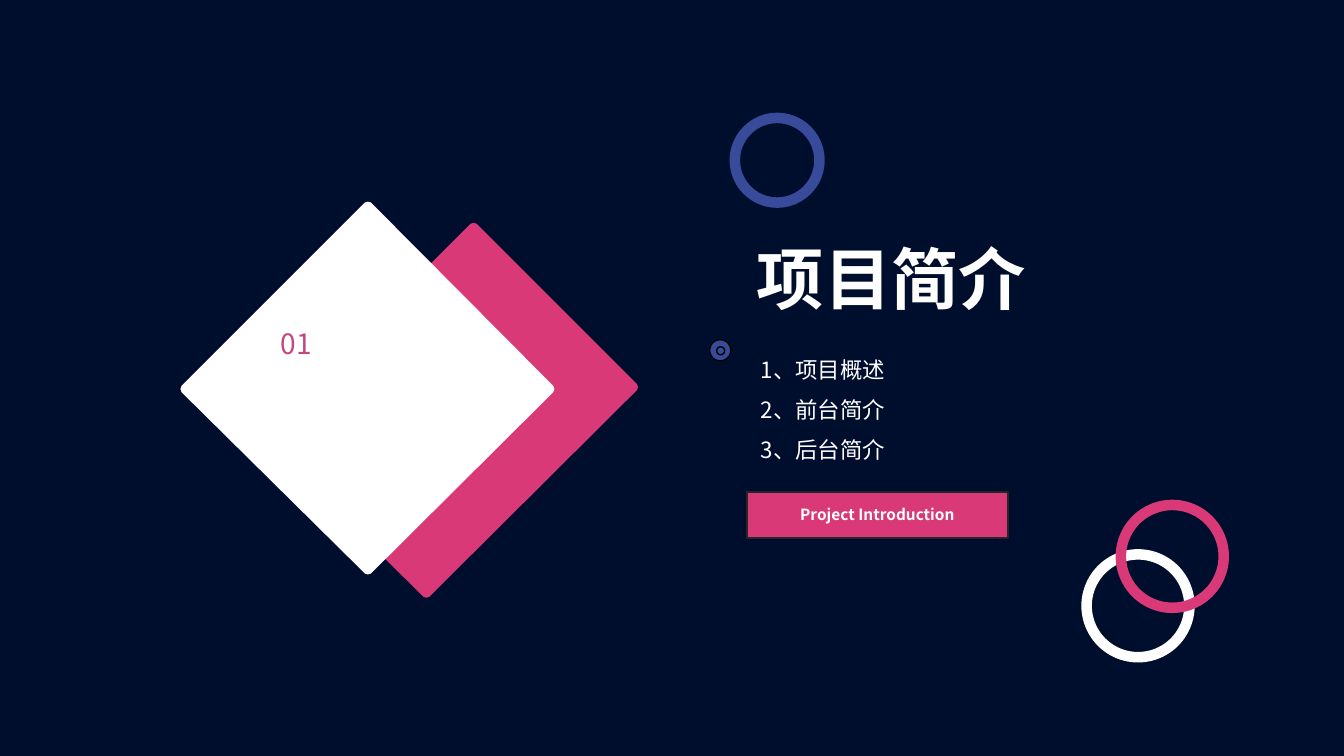
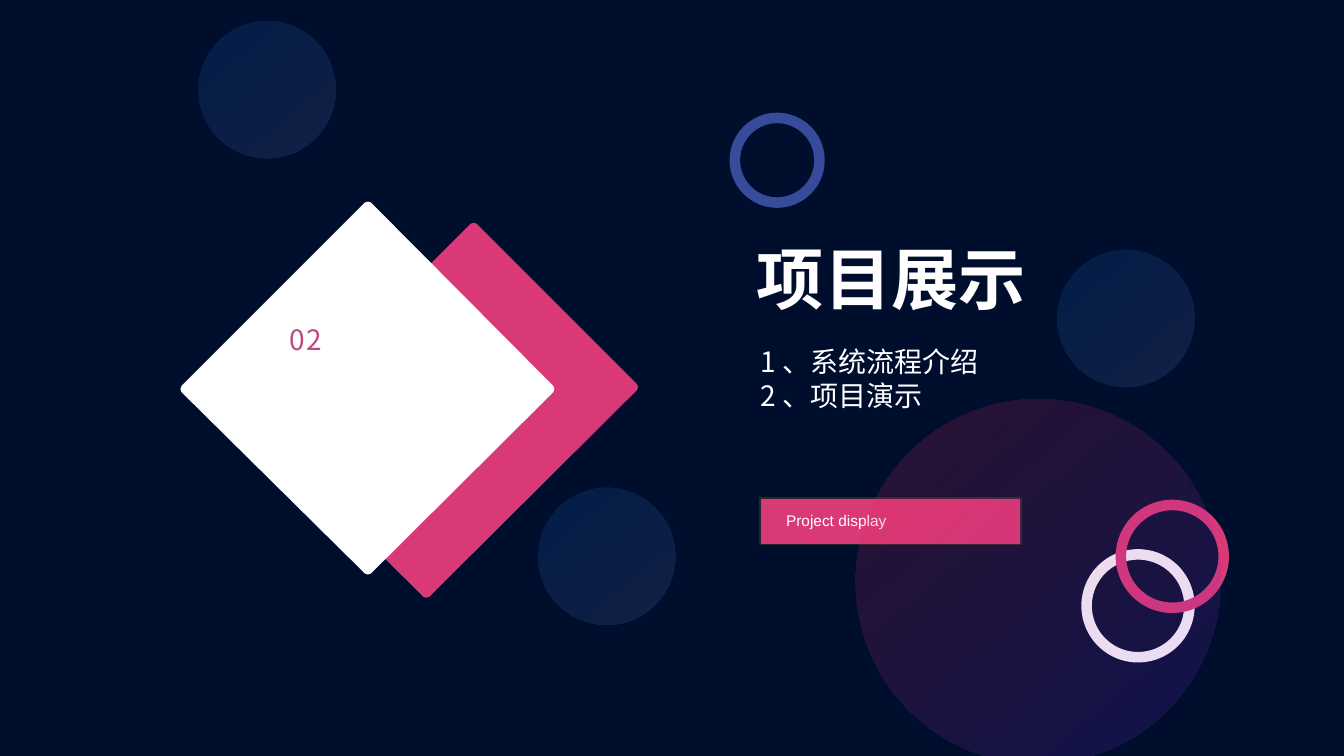
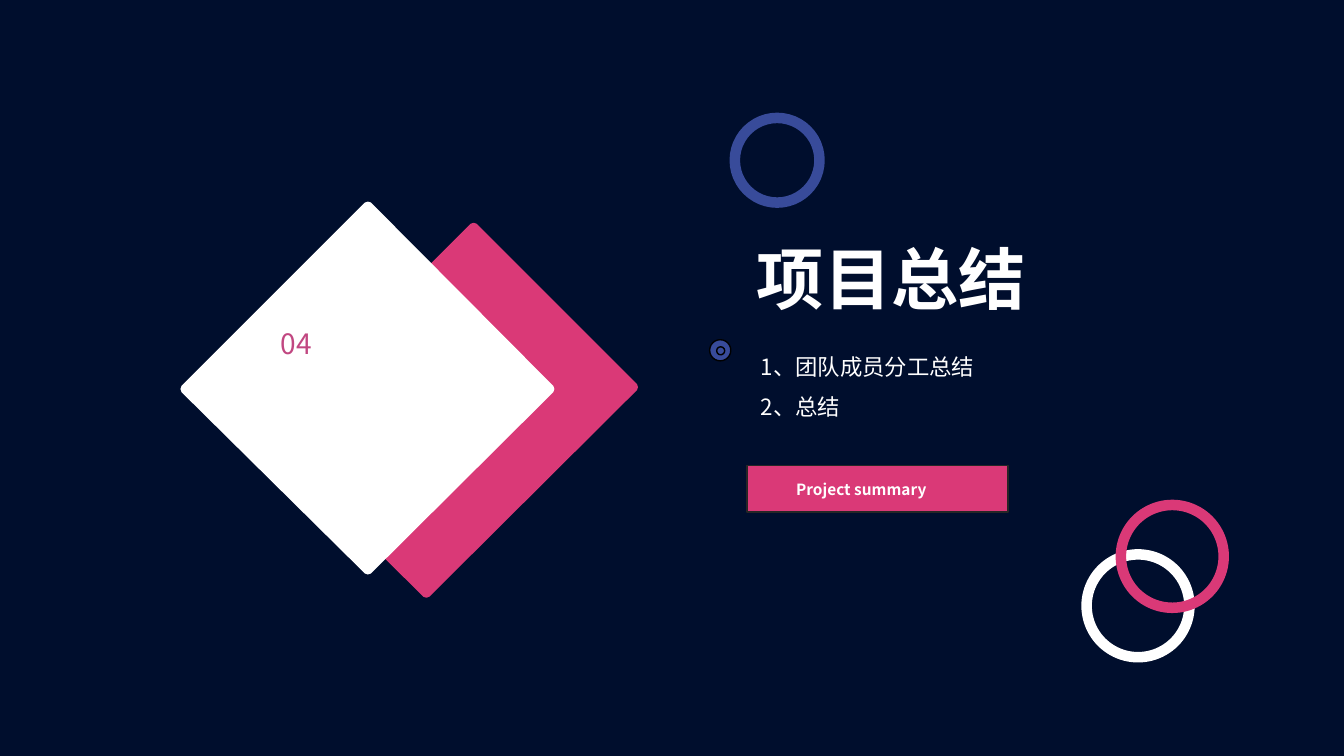
from lxml import etree
from pptx import Presentation, util as u
from pptx.dml.color import RGBColor
from pptx.enum import shapes, text
from pptx.oxml.ns import qn

COLS, ROWS = 40, 22.5
CELL = u.Inches(1) / 3
NAVY, PINK, WHITE, BLUE, BLACK, EDGE = "000E2D", "DA3977", "FFFFFF", "384B9A", "000000", "262626"
SANS, ARIAL = "Noto Sans CJK SC", "Arial"
OVAL, RECT = shapes.MSO_SHAPE.OVAL, shapes.MSO_SHAPE.RECTANGLE
LEFT, CENTER = text.PP_ALIGN.LEFT, text.PP_ALIGN.CENTER
RAINBOW = [(0, "557CB3"), (26, "C14781"), (53, PINK), (75, "C14781"), (100, BLUE)]


def paint(fill, color, element=None, angle=0, alpha=100):
    if isinstance(color, str):
        fill.solid()
        fill.fore_color.rgb = RGBColor.from_string(color)
        return
    fill.gradient()
    fill.gradient_angle = -angle % 360
    stops = next(element.iter(qn("a:gsLst")))
    stops.clear()
    for pos, value in color:
        gs = etree.SubElement(stops, qn("a:gs"), pos=str(pos * 1000))
        clr = etree.SubElement(gs, qn("a:srgbClr"), val=value)
        if alpha < 100:
            etree.SubElement(clr, qn("a:alpha"), val=str(alpha * 1000))


def write(sp, words, size, box, font=SANS, color=WHITE, bold=False, align=LEFT,
          leading=1.0, wrap=False, spacing=0):
    sp.left, sp.top, sp.width, sp.height = [round(v * CELL) for v in box]
    tf = sp.text_frame
    tf.word_wrap = wrap
    tf.auto_size = text.MSO_AUTO_SIZE.SHAPE_TO_FIT_TEXT
    tf.vertical_anchor = text.MSO_ANCHOR.TOP
    tf.text = words
    for p in tf.paragraphs:
        p.alignment, p.line_spacing = align, leading
        for r in p.runs:
            r.font.size, r.font.bold, r.font.name = u.Pt(size), bold, font
            paint(r.font.fill, color, sp.element)
    for rpr in sp.element.iter(qn("a:rPr")):
        etree.SubElement(rpr, qn("a:ea"), typeface=font)
        if spacing:
            rpr.set("spc", str(spacing * 100))


chapters = [
    dict(number="01", number_at=(8.04, 9.57), title="项目简介",
         body="1、项目概述\n2、前台简介\n3、后台简介", body_box=(22.35, 10.05, 11.7, 3.81),
         body_style=dict(size=16, leading=1.5), bar_at=(22.23, 14.64),
         label="Project Introduction", label_box=(23.46, 14.88, 5.31, 0.87),
         label_style=dict(bold=True, align=CENTER), dot=True, bubbles=[]),
    dict(number="02", number_at=(8.31, 9.45), title="项目展示",
         body="1 、系统流程介绍\n2 、项目演示", body_box=(22.35, 10.11, 15.72, 2.31),
         body_style=dict(size=20), bar_at=(22.62, 14.82),
         label="Project display", label_box=(23.1, 15.06, 6.81, 0.87),
         label_style=dict(font=ARIAL, wrap=True), dot=False,
         bubbles=[(31.47, 7.44, 4.08, "0A6CD1", "7474BA"), (5.91, 0.63, 4.08, "0A6CD1", "7474BA"),
                  (16.02, 14.52, 4.08, "0A6CD1", "7474BA"), (25.47, 11.88, 10.86, "FF2841", "5C33E6")]),
    dict(number="04", number_at=(8.04, 9.57), title="项目总结",
         body="1、团队成员分工总结\n2、总结", body_box=(22.35, 9.96, 11.7, 2.58),
         body_style=dict(size=16, leading=1.5), bar_at=(22.23, 13.86),
         label="Project summary", label_box=(23.37, 14.13, 4.53, 0.87),
         label_style=dict(bold=True, align=CENTER), dot=True, bubbles=[]),
]

prs = Presentation()
prs.slide_width, prs.slide_height = round(COLS * CELL), round(ROWS * CELL)
paint(prs.slide_master.background.fill, NAVY)
layout = prs.slide_layouts[5]
for ph in list(layout.placeholders):
    if ph.placeholder_format.idx >= 10:
        ph.element.getparent().remove(ph.element)
slides = [prs.slides.add_slide(layout) for _ in chapters]

s = slides[0]
decor = []
for x, y, d, color in [(32.34, 16.5, 3.06, WHITE), (33.36, 15.03, 3.06, PINK), (21.87, 3.51, 2.52, BLUE)]:
    sp = s.shapes.add_shape(OVAL, *[round(v * CELL) for v in (x, y, d, d)])
    sp.fill.background()
    paint(sp.line.fill, color)
    sp.line.width = u.Pt(7.5)
    decor.append(sp)
for color, corners in [(PINK, [(12.69, 17.79), (7.8, 12.93), (14.1, 6.63), (18.99, 11.52)]),
                       (WHITE, [(10.95, 17.1), (5.37, 11.58), (10.95, 6), (16.5, 11.58)])]:
    outline = []
    for (x, y), (dx, dy) in zip(corners, [(0, 1), (-1, 0), (0, -1), (1, 0)]):
        for inset, side in [(0.09, 0.15), (0.03, 0.09), (0, 0), (0.03, -0.09), (0.09, -0.15)]:
            outline.append((round((x - inset * dx + side * dy) * CELL),
                            round((y - inset * dy - side * dx) * CELL)))
    pen = s.shapes.build_freeform(*outline[0])
    pen.add_line_segments(outline[1:], close=True)
    sp = pen.convert_to_shape()
    paint(sp.fill, color)
    sp.line.fill.background()
    decor.append(sp)
for sp in decor:
    sp.shadow.inherit = False
    layout.shapes.element.append(sp.element)

for s, c in zip(slides, chapters):
    write(s.shapes.title, c["title"], 48, (22.23, 6.9, 8.67, 2.73), bold=True)
    write(s.shapes.add_textbox(0, 0, 0, 0), c["number"], 20, (*c["number_at"], 4.98, 3.9),
          color=RAINBOW, spacing=1)
    write(s.shapes.add_textbox(0, 0, 0, 0), c["body"], box=c["body_box"], wrap=True, **c["body_style"])
    if c["dot"]:
        dot = s.shapes.add_group_shape()
        for x, y, d in [(21.12, 10.11, 0.63), (21.33, 10.32, 0.24)]:
            sp = dot.shapes.add_shape(OVAL, *[round(v * CELL) for v in (x, y, d, d)])
            sp.shadow.inherit = False
            paint(sp.fill, BLUE)
            paint(sp.line.fill, BLACK)
            sp.line.width = u.Pt(1)
    bar = s.shapes.add_shape(RECT, *[round(v * CELL) for v in (*c["bar_at"], 7.77, 1.38)])
    bar.shadow.inherit = False
    paint(bar.fill, PINK)
    paint(bar.line.fill, EDGE)
    bar.line.width = u.Pt(1)
    write(s.shapes.add_textbox(0, 0, 0, 0), c["label"], 11, c["label_box"], **c["label_style"])
    for x, y, d, start, end in c["bubbles"]:
        sp = s.shapes.add_shape(OVAL, *[round(v * CELL) for v in (x, y, d, d)])
        sp.shadow.inherit = False
        paint(sp.fill, [(0, start), (100, end)], sp.element, angle=50, alpha=16)
        sp.line.fill.background()

prs.save("out.pptx")
